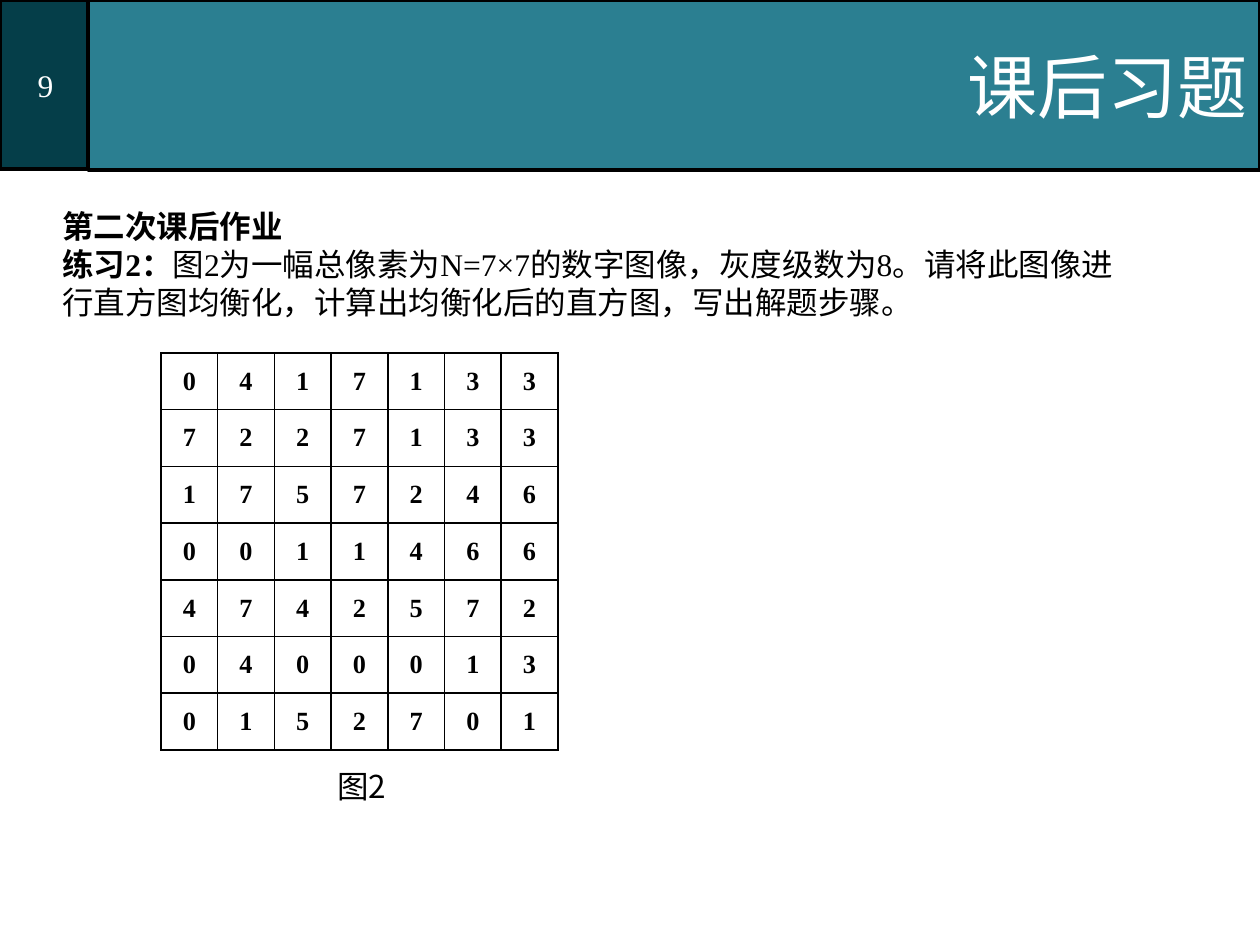
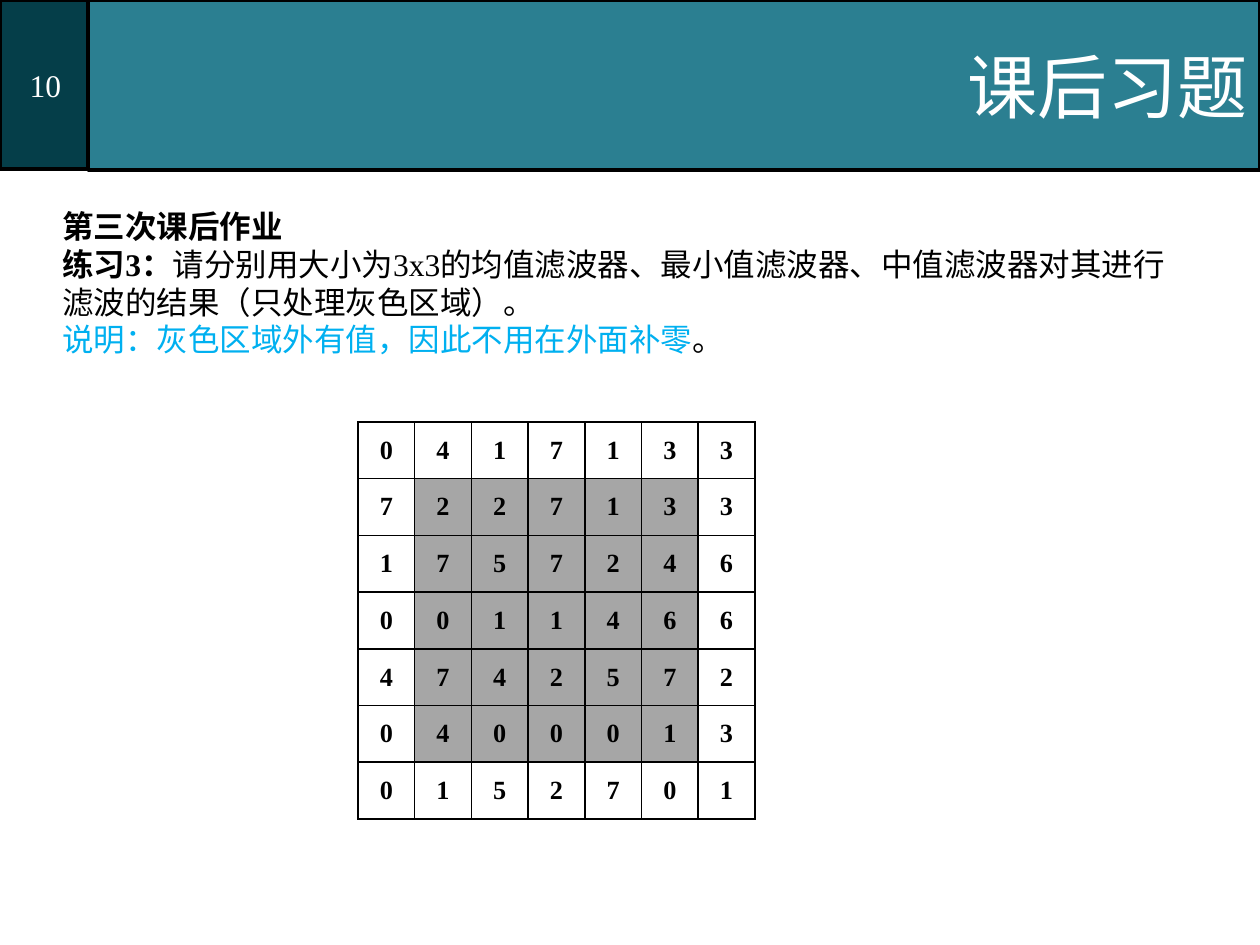
import pptx
import pptx.dml.color
import pptx.enum.shapes
import pptx.enum.text
import pptx.oxml
import pptx.oxml.ns
import pptx.util

RGBColor = pptx.dml.color.RGBColor
DARK_TEAL = RGBColor(0x05, 0x3E, 0x49)
TEAL = RGBColor(0x2B, 0x7F, 0x91)
WHITE = RGBColor(0xFF, 0xFF, 0xFF)
BLACK = RGBColor(0, 0, 0)
GRAY = RGBColor(0xA6, 0xA6, 0xA6)
SKY = RGBColor(0x00, 0xB0, 0xF0)

SERIF = "Times New Roman"
HAN = "Noto Sans CJK SC"
ALIGN = pptx.enum.text.PP_ALIGN
MIDDLE = pptx.enum.text.MSO_ANCHOR.MIDDLE

TITLE_TEXT = {"size": pptx.util.Pt(40), "name": "Arial"}
NUMBER_TEXT = {"size": pptx.util.Pt(18), "name": SERIF}
HEADING = {"size": pptx.util.Pt(18), "name": HAN, "bold": True}
LABEL = {**HEADING, "name": SERIF}
BODY = {**LABEL, "bold": False}
CAPTION = {**HEADING, "bold": False}
CELL_TEXT = {"size": pptx.util.Pt(15), "name": SERIF, "bold": True}

NUMBER_BOX = (0, 0, 91, 169)
TITLE_BOX = (88, 0, 1172, 170)
GRID_SIDE = 397
PIXELS = ("0417133", "7227133", "1757246", "0011466",
          "4742572", "0400013", "0152701")


def px(length):
    """Turn pixels into EMU."""
    return pptx.util.Emu(round(length * 914400 / 126))


def set_all(target, values):
    """Set each attribute in values on target."""
    for name, value in values.items():
        setattr(target, name, value)


def place(shape, box):
    """Move and size a shape to a pixel box."""
    set_all(shape, dict(zip(("left", "top", "width", "height"), map(px, box))))


def add_span(para, text, style, color=BLACK):
    """Append a run with the given style and colour."""
    span = para.add_run()
    span.text = text
    span.font.color.rgb = color
    set_all(span.font, style)
    span.font._element.append(pptx.oxml.parse_xml(
        f'<a:ea {pptx.oxml.ns.nsdecls("a")} typeface="{HAN}"/>'))


def fill_band(shape, box, fill, text, style, align):
    """Format one outlined block of the header band."""
    place(shape, box)
    shape.fill.solid()
    shape.fill.fore_color.rgb = fill
    shape.line.color.rgb = BLACK
    shape.line.width = pptx.util.Pt(2)
    shape.text_frame.vertical_anchor = MIDDLE
    para = shape.text_frame.paragraphs[0]
    para.alignment = align
    add_span(para, text, style, WHITE)


def add_header(page, number):
    """Build the number block and the title band."""
    title = page.shapes.title
    block = page.shapes.add_shape(
        pptx.enum.shapes.MSO_SHAPE.RECTANGLE, *map(px, NUMBER_BOX))
    block.shadow.inherit = False
    title.element.addprevious(block.element)
    fill_band(block, NUMBER_BOX, DARK_TEAL, str(number), NUMBER_TEXT, ALIGN.CENTER)
    fill_band(title, TITLE_BOX, TEAL, "课后习题", TITLE_TEXT, ALIGN.RIGHT)


def add_text(page, box, paragraphs):
    """Add a text box from lists of (text, style, colour) spans."""
    frame = page.shapes.add_textbox(*map(px, box)).text_frame
    set_all(frame, {"word_wrap": True, "margin_top": px(9),
                    "auto_size": pptx.enum.text.MSO_AUTO_SIZE.SHAPE_TO_FIT_TEXT})
    for index, spans in enumerate(paragraphs):
        para = frame.add_paragraph() if index else frame.paragraphs[0]
        para.line_spacing = pptx.util.Pt(21.6)
        for span in spans:
            add_span(para, *span)


def add_borders(cell):
    """Draw a thin black line on each side of a cell."""
    properties = cell._tc.get_or_add_tcPr()
    for index, side in enumerate(("lnL", "lnR", "lnT", "lnB")):
        properties.insert(index, pptx.oxml.parse_xml(
            f'<a:{side} {pptx.oxml.ns.nsdecls("a")} w="12700"><a:solidFill>'
            f'<a:srgbClr val="{BLACK}"/></a:solidFill></a:{side}>'))


def add_pixel_grid(page, left, top, shade_inside=False):
    """Draw the image values as a square table, with its inside grey if asked."""
    count = len(PIXELS)
    inside = range(1, count - 1)
    table = page.shapes.add_table(
        count, count, *map(px, (left, top, GRID_SIDE, GRID_SIDE))).table
    set_all(table, {"first_row": False, "horz_banding": False})
    for row, values in enumerate(PIXELS):
        for column, value in enumerate(values):
            cell = table.cell(row, column)
            cell.vertical_anchor = MIDDLE
            if shade_inside and row in inside and column in inside:
                cell.fill.solid()
                cell.fill.fore_color.rgb = GRAY
            else:
                cell.fill.background()
            add_borders(cell)
            para = cell.text_frame.paragraphs[0]
            para.alignment = ALIGN.CENTER
            add_span(para, value, CELL_TEXT)


def add_exercise(deck, number, text_box, paragraphs):
    """Add a page with the shared header and the exercise text."""
    page = deck.slides.add_slide(deck.slide_layouts[5])
    add_header(page, number)
    add_text(page, text_box, paragraphs)
    return page


def main():
    """Build both exercise pages and save the deck."""
    deck = pptx.Presentation()
    set_all(deck, {"slide_width": px(1260), "slide_height": px(945)})

    histogram = add_exercise(deck, 9, (50, 198, 1091, 127), [
        [("第二次课后作业", HEADING)],
        [("练习2：", LABEL),
         ("图2为一幅总像素为N=7×7的数字图像，灰度级数为8。请将此图像进行直方图均衡化，"
          "计算出均衡化后的直方图，写出解题步骤。", BODY)]])
    add_pixel_grid(histogram, 161, 353)
    add_text(histogram, (325, 758, 212, 50), [[("图2", CAPTION)]])

    filtering = add_exercise(deck, 10, (50, 198, 1133, 165), [
        [("第三次课后作业", HEADING)],
        [("练习3：", LABEL),
         ("请分别用大小为3x3的均值滤波器、最小值滤波器、中值滤波器对其进行滤波的结果"
          "（只处理灰色区域）。", BODY)],
        [("说明：灰色区域外有值，因此不用在外面补零", BODY, SKY), ("。", BODY)]])
    add_pixel_grid(filtering, 358, 422, shade_inside=True)

    deck.save("out.pptx")


if __name__ == "__main__":
    main()
